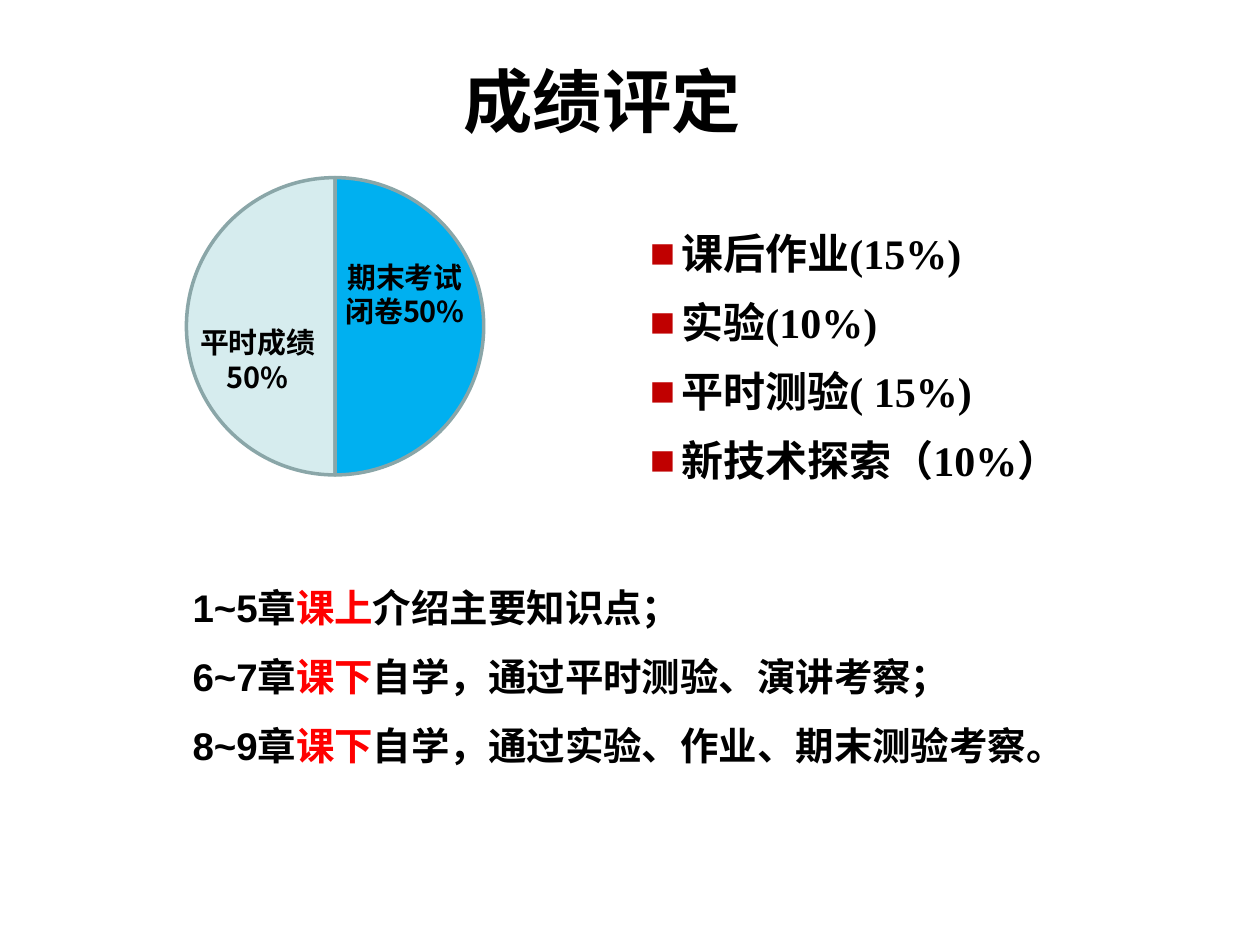
from pptx import Presentation
from pptx.dml.color import RGBColor
from pptx.enum.shapes import MSO_SHAPE as Shape
from pptx.enum.text import MSO_ANCHOR as Anchor, PP_ALIGN as Align
from pptx.oxml.ns import qn
from pptx.util import Inches, Pt
from lxml.etree import SubElement

HUES = {"ink": "000000", "red": "FF0000", "mark": "C00000",
        "pale": "D6ECEE", "blue": "00B0F0", "edge": "8AA6A8"}


def hue(name):
    """Return the named colour."""
    return RGBColor.from_string(HUES[name])


def mark(para):
    """Give a paragraph a square bullet and a hanging indent."""
    props = para._p.get_or_add_pPr()
    props.set("marL", str(Inches(1.25)))
    props.set("indent", str(Inches(-0.25)))
    tint = SubElement(props, qn("a:buClr"))
    SubElement(tint, qn("a:srgbClr")).set("val", HUES["mark"])
    SubElement(props, qn("a:buFont")).set("typeface", "Arial")
    SubElement(props, qn("a:buChar")).set("char", "■")


def write(shape, lines, size, font="Arial", align=Align.LEFT, space=None,
          gap=0, bullet=False, anchor=Anchor.TOP):
    """Fill a shape with lines, each a list of (text, colour) runs."""
    frame = shape.text_frame
    frame.word_wrap = True
    frame.vertical_anchor = anchor
    for i, runs in enumerate(lines):
        para = frame.add_paragraph() if i else frame.paragraphs[0]
        if bullet:
            mark(para)
        para.alignment = align
        para.line_spacing = space
        if i and gap:
            para.space_before = Pt(gap)
        for text, name in runs:
            run = para.add_run()
            run.text = text
            run.font.size, run.font.name, run.font.bold = Pt(size), font, True
            run.font.color.rgb = hue(name)


def plain(*texts):
    """Turn texts into lines of one black run."""
    return [[(text, "ink")] for text in texts]


def add_title(slide, x, y, w, h):
    """Place the slide title."""
    title = slide.shapes.title
    title.left, title.top, title.width, title.height = map(Inches, (x, y, w, h))
    write(title, plain("成绩评定"), 39.6, align=Align.CENTER, anchor=Anchor.MIDDLE)


def add_pie(slide, x, y, size):
    """Draw the two halves of the grade and their labels."""
    group = slide.shapes.add_group_shape().shapes
    for start, end, fill in ((90, 270, "pale"), (270, 90, "blue")):
        half = group.add_shape(Shape.PIE, Inches(x), Inches(y), Inches(size), Inches(size))
        half.adjustments[0], half.adjustments[1] = start * 0.6, end * 0.6
        half.shadow.inherit = False
        half.fill.solid()
        half.fill.fore_color.rgb = hue(fill)
        half.line.color.rgb = hue("edge")
        half.line.width = Pt(2)
    for dx, dy, texts in ((1.12, 0.6, ("期末考试", "闭卷50%")),
                          (-0.05, 1.12, ("平时成绩50%",))):
        label = group.add_textbox(Inches(x + dx), Inches(y + dy), Inches(1.23), Inches(0.66))
        write(label, plain(*texts), 16.5, font="Noto Sans CJK SC", align=Align.CENTER)


def add_parts(slide, x, y, w, h):
    """List what makes up the coursework grade."""
    box = slide.shapes.add_textbox(*map(Inches, (x, y, w, h)))
    write(box, plain("课后作业(15%)", "实验(10%)", "平时测验( 15%)", "新技术探索（10%）"),
          24, font="Times New Roman", space=1.2, gap=4.8, bullet=True)


def add_plan(slide, x, y, w, h):
    """Tell how each group of chapters is taught."""
    box = slide.shapes.add_textbox(*map(Inches, (x, y, w, h)))
    rows = (("1~5章", "课上", "介绍主要知识点；"),
            ("6~7章", "课下", "自学，通过平时测验、演讲考察；"),
            ("8~9章", "课下", "自学，通过实验、作业、期末测验考察。"))
    write(box, [list(zip(row, ("ink", "red", "ink"))) for row in rows], 22, space=1.5)


def main():
    """Build the slide and save it."""
    deck = Presentation()
    deck.slide_width, deck.slide_height = Inches(10), Inches(7.5)
    slide = deck.slides.add_slide(deck.slide_layouts[5])
    add_title(slide, 2.08, 0.44, 5.4, 0.7)
    add_parts(slide, 4.06, 1.68, 8.11, 2.36)
    add_pie(slide, 1.48, 1.41, 2.36)
    add_plan(slide, 1.43, 4.4, 7.9, 1.77)
    deck.save("out.pptx")


if __name__ == "__main__":
    main()
